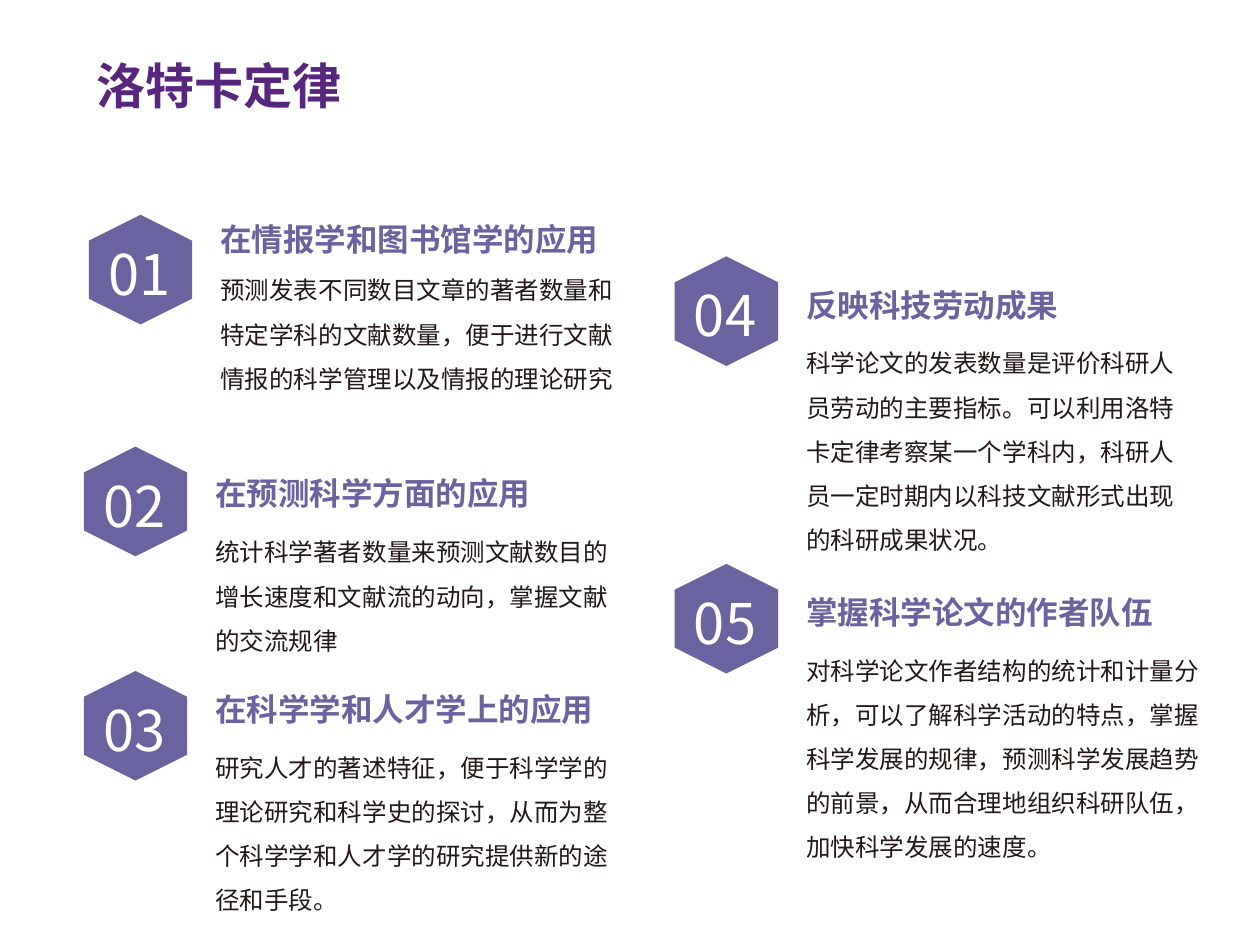
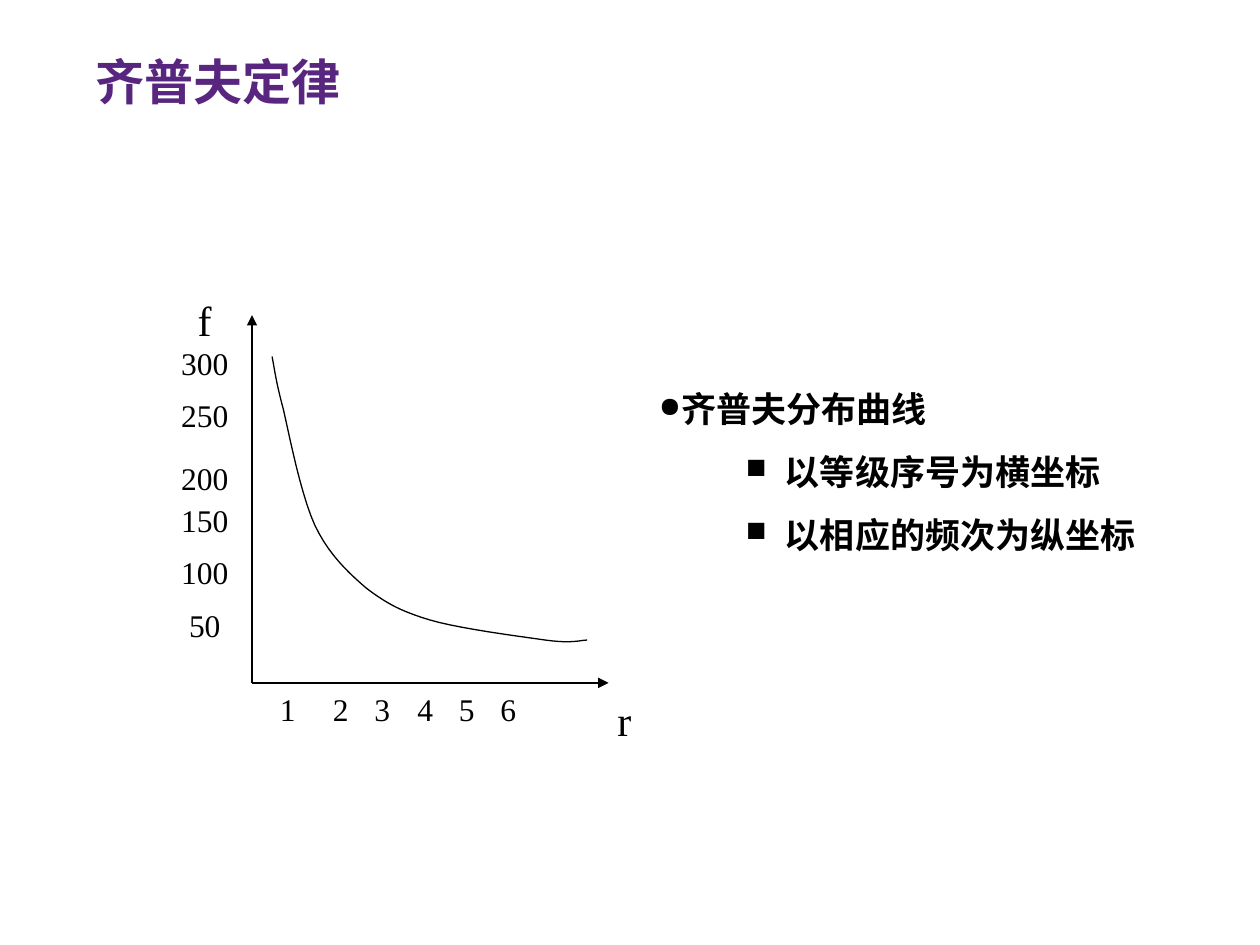
import pptx
import pptx.util
import pptx.dml.color
import pptx.enum.dml
import pptx.enum.shapes
import pptx.enum.text
import pptx.oxml.ns
import lxml.etree
import dataclasses

Inch = pptx.util.Inches
Shape = pptx.enum.shapes.MSO_SHAPE
Fit = pptx.enum.text.MSO_AUTO_SIZE
Mid = pptx.enum.text.MSO_ANCHOR.MIDDLE
Center = pptx.enum.text.PP_ALIGN.CENTER


@dataclasses.dataclass(frozen=True)
class Theme:
    wide: float = 10
    high: float = 7.5
    sans: str = "Calibri"
    noto: str = "Noto Sans CJK SC"
    serif: str = "Times New Roman"
    title: str = "58267E"
    accent: str = "6964A0"
    body: str = "231815"
    black: str = "000000"
    white: str = "FFFFFF"
    lead: float = 1.5
    thin: float = 0.75


T = Theme()
STYLES = {
    "title": dict(name=T.sans, size=28, color=T.title, bold=True),
    "number": dict(name=T.noto, size=32, color=T.white, bold=False),
    "head": dict(name=T.noto, size=18, color=T.accent, bold=True),
    "body": dict(name=T.sans, size=14, color=T.body, bold=False),
    "point": dict(name=T.sans, size=20, color=T.black, bold=True),
    "tick": dict(name=T.serif, size=18, color=T.black, bold=False),
    "axis": dict(name=T.serif, size=24, color=T.black, bold=False),
}

ITEMS = [
    ("01", 0.72, 1.70, 1.65, 1.70, 0.32, 3.35,
     "在情报学和图书馆学的应用",
     "预测发表不同数目文章的著者数量和特定学科的文献数量，便于进行文献情报的科学管理以及情报的理论研究"),
    ("02", 0.68, 3.54, 1.61, 3.71, 0.39, 3.41,
     "在预测科学方面的应用",
     "统计科学著者数量来预测文献数目的增长速度和文献流的动向，掌握文献的交流规律"),
    ("03", 0.68, 5.32, 1.61, 5.43, 0.38, 3.38,
     "在科学学和人才学上的应用",
     "研究人才的著述特征，便于科学学的理论研究和科学史的探讨，从而为整个科学学和人才学的研究提供新的途径和手段。"),
    ("04", 5.37, 2.03, 6.30, 2.22, 0.38, 3.23,
     "反映科技劳动成果",
     "科学论文的发表数量是评价科研人员劳动的主要指标。可以利用洛特卡定律考察某一个学科内，科研人员一定时期内以科技文献形式出现的科研成果状况。"),
    ("05", 5.37, 4.47, 6.30, 4.66, 0.38, 3.44,
     "掌握科学论文的作者队伍",
     "对科学论文作者结构的统计和计量分析，可以了解科学活动的特点，掌握科学发展的规律，预测科学发展趋势的前景，从而合理地组织科研队伍，加快科学发展的速度。"),
]

LABELS = [
    ("f", 1.25, 2.33, "axis"), ("r", 4.58, 5.5, "axis"),
    *((text, 1.25, y, "tick") for text, y in zip(
        ("300", "250", "200", "150", "100", "50"),
        (2.67, 3.08, 3.58, 3.92, 4.33, 4.75))),
    *((text, x, 5.42, "tick") for text, x in zip(
        "123456", (1.91, 2.33, 2.66, 3, 3.33, 3.66))),
]

CURVE = [
    (2.16, 2.83), (2.18, 2.93), (2.19, 3.03), (2.25, 3.25),
    (2.3, 3.47), (2.39, 3.93), (2.5, 4.17),
    (2.61, 4.4), (2.76, 4.54), (2.91, 4.67),
    (3.07, 4.79), (3.18, 4.85), (3.41, 4.92),
    (3.65, 4.99), (4.12, 5.05), (4.33, 5.08),
    (4.54, 5.11), (4.61, 5.08), (4.66, 5.08),
]

POINTS = [
    ("齐普夫分布曲线", "●", 0, 0),
    ("以等级序号为横坐标", "■", 2, 1),
    ("以相应的频次为纵坐标", "■", 2, 1),
]


def color(code):
    return pptx.dml.color.RGBColor.from_string(code)


def sub(node, tag, **attrs):
    return lxml.etree.SubElement(node, pptx.oxml.ns.qn(tag), attrs)


def write(para, text, style):
    run = para.add_run()
    run.text = text
    look = STYLES[style]
    vals = dict(look, size=pptx.util.Pt(look["size"]))
    run.font.color.rgb = color(vals.pop("color"))
    for key, val in vals.items():
        setattr(run.font, key, val)
    sub(run.font._element, "a:ea", typeface=look["name"])


def box(slide, text, area, style, lead=None, **opts):
    frame = slide.shapes.add_textbox(*map(Inch, area)).text_frame
    for key, val in {"word_wrap": True, **opts}.items():
        setattr(frame, key, val)
    if text:
        para = frame.paragraphs[0]
        para.line_spacing = lead
        write(para, text, style)
    return frame


def page(deck, title, area):
    slide = deck.slides.add_slide(deck.slide_layouts[6])
    return slide, box(slide, title, area, "title")


def badge(slide, text, x, y):
    wide, high = 0.87, 0.82
    hexa = slide.shapes.add_shape(
        Shape.HEXAGON, Inch(x - 0.04), Inch(y + 0.03), Inch(wide), Inch(high))
    hexa.rotation = 270
    hexa.shadow.inherit = False
    hexa.fill.solid()
    hexa.fill.fore_color.rgb = color(T.accent)
    hexa.line.fill.background()
    box(slide, text, (x + 0.04, y + 0.15, 0.73, 0.64), "number",
        word_wrap=False, auto_size=Fit.SHAPE_TO_FIT_TEXT)


def item(slide, number, x, y, left, top, drop, wide, head, body):
    badge(slide, number, x, y)
    box(slide, body, (left, top + drop, wide, 1.12), "body", T.lead,
        auto_size=Fit.SHAPE_TO_FIT_TEXT)
    box(slide, head, (left, top, 3.29, 0.39), "head",
        auto_size=Fit.SHAPE_TO_FIT_TEXT)


def ink(line):
    line.color.rgb = color(T.black)
    line.width = pptx.util.Pt(T.thin)


def arrow(slide, start, end):
    link = slide.shapes.add_connector(
        pptx.enum.shapes.MSO_CONNECTOR.STRAIGHT, *map(Inch, start + end))
    ink(link.line)
    sub(link.line._get_or_add_ln(), "a:tailEnd", type="triangle")
    sub(link._element.spPr, "a:effectLst")


def label(slide, text, x, y, style):
    tag = slide.shapes.add_shape(
        Shape.ROUNDED_RECTANGLE, Inch(x), Inch(y), Inch(0.75), Inch(0.42))
    tag.shadow.inherit = False
    tag.fill.background()
    tag.line.fill.background()
    frame = tag.text_frame
    frame.word_wrap = False
    frame.vertical_anchor = Mid
    para = frame.paragraphs[0]
    para.alignment = Center
    write(para, text, style)


def bend(knots, steps=10):
    dots = [knots[0]]
    for i in range(0, len(knots) - 1, 3):
        part = knots[i:i + 4]
        for step in range(1, steps + 1):
            t = step / steps
            rates = ((1 - t) ** 3, 3 * t * (1 - t) ** 2,
                     3 * t * t * (1 - t), t ** 3)
            dots.append(tuple(sum(r * k[d] for r, k in zip(rates, part))
                              for d in (0, 1)))
    return dots


def curve(slide, knots):
    dots = [(Inch(x), Inch(y)) for x, y in bend(knots)]
    form = slide.shapes.build_freeform(*dots[0])
    form.add_line_segments(dots[1:], close=False)
    trace = form.convert_to_shape()
    trace.shadow.inherit = False
    trace.fill.background()
    ink(trace.line)


def points(slide, area, rows):
    frame = box(slide, "", area, "point", auto_size=Fit.SHAPE_TO_FIT_TEXT,
                margin_left=Inch(0.07), margin_right=Inch(0.07),
                margin_top=Inch(0.04), margin_bottom=Inch(0.04))
    for i, (text, mark, level, left) in enumerate(rows):
        para = frame.add_paragraph() if i else frame.paragraphs[0]
        para.level = level
        para.line_spacing = T.lead
        props = para._p.get_or_add_pPr()
        props.set("marL", str(Inch(left)))
        props.set("indent", str(Inch(-0.31)))
        sub(props, "a:buSzPct", val="80000")
        sub(props, "a:buChar", char=mark)
        write(para, text, "point")


def lotka(deck):
    slide, title = page(deck, "洛特卡定律", (0.67, 0.36, 6.14, 0.63))
    title.vertical_anchor = Mid
    for row in ITEMS:
        item(slide, *row)


def zipf(deck):
    slide, title = page(deck, "齐普夫定律", (0.66, 0.36, 9.34, 0.46))
    base = (2, 5.42)
    for end in ((2, 2.5), (4.83, 5.42)):
        arrow(slide, base, end)
    curve(slide, CURVE)
    for row in LABELS:
        label(slide, *row)
    points(slide, (5.16, 2.87, 4.44, 1.93), POINTS)


def main():
    deck = pptx.Presentation()
    deck.slide_width, deck.slide_height = Inch(T.wide), Inch(T.high)
    lotka(deck)
    zipf(deck)
    deck.save("out.pptx")


if __name__ == "__main__":
    main()
